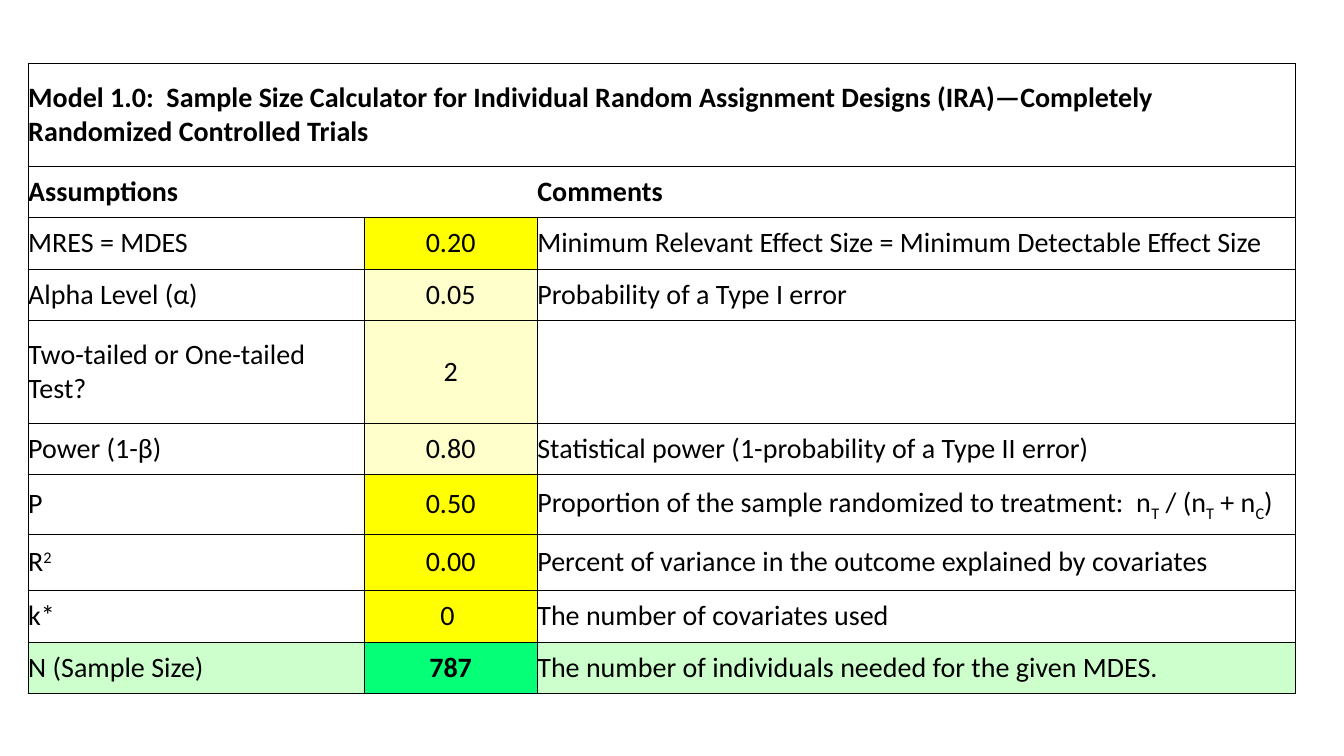
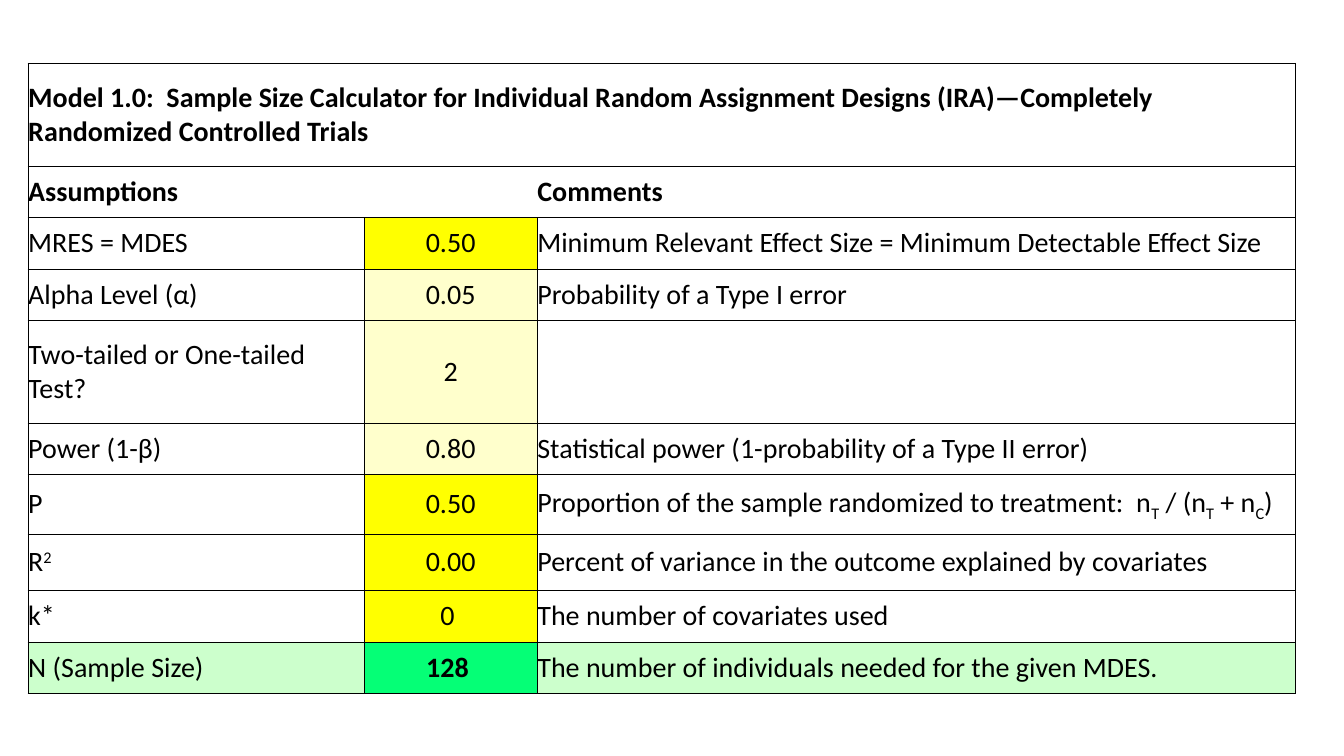
"""Build two sample size calculator slides, one per minimum detectable effect size."""
from lxml.etree import SubElement
from pptx import Presentation
from pptx.dml.color import RGBColor
from pptx.enum.text import MSO_ANCHOR, PP_ALIGN
from pptx.oxml.ns import qn
from pptx.util import Inches, Pt

COLORS = {
    "ink": "000000",
    "input": "FFFF00",
    "default": "FFFFCC",
    "summary": "CCFFCC",
    "answer": "05FF76",
}
FONT, FONT_SIZE = "Calibri", 20
THIN, THICK = 0.5, 1
SUB, SUP = -25000, 30000

TITLE = ("Model 1.0:  Sample Size Calculator for Individual Random Assignment "
         "Designs (IRA)—Completely Randomized Controlled Trials")
TREATMENT_SHARE = [
    ("Proportion of the sample randomized to treatment:  n", 0), ("T", SUB),
    (" / (n", 0), ("T", SUB), (" + n", 0), ("C", SUB), (")", 0),
]
SCENARIOS = [("0.20", "787"), ("0.50", "128 ")]

LEFT, TOP = 0.28, 0.63
COLUMN_WIDTHS = [3.33, 1.72, 7.52]
LINE_ROW = 0.51
ROW_HEIGHTS = [2 * LINE_ROW, LINE_ROW, LINE_ROW, LINE_ROW, 2 * LINE_ROW,
               LINE_ROW, 0.59, 0.56, LINE_ROW, LINE_ROW]
HEADING_ROWS = 2


def calculator_rows(effect_size, sample_size):
    """Return the texts of each row and the fill names of its cells."""
    value_only = lambda name: (None, name, None)
    no_fill = value_only(None)
    return [
        ((TITLE, "", ""), no_fill),
        (("Assumptions", "", "Comments"), no_fill),
        (("MRES = MDES", effect_size,
          "Minimum Relevant Effect Size = Minimum Detectable Effect Size"), value_only("input")),
        (("Alpha Level (α)", "0.05", "Probability of a Type I error"), value_only("default")),
        (("Two-tailed or One-tailed Test?", "2", ""), value_only("default")),
        (("Power (1-β)", "0.80",
          "Statistical power (1-probability of a Type II error)"), value_only("default")),
        (("P", "0.50", TREATMENT_SHARE), value_only("input")),
        (([("R", 0), ("2", SUP)], "0.00",
          "Percent of variance in the outcome explained by covariates"), value_only("input")),
        (("k*", "0 ", "The number of covariates used"), value_only("input")),
        (("N (Sample Size)", sample_size,
          "The number of individuals needed for the given MDES."),
         ("summary", "answer", "summary")),
    ]


def set_borders(cell, row, column):
    """Draw a thick frame around the table and thin lines inside it."""
    inner = 0 if row < HEADING_ROWS else THIN
    sides = {
        "L": THICK if column == 0 else inner,
        "R": THICK if column + cell.span_width == len(COLUMN_WIDTHS) else inner,
        "T": THICK if row == 0 else THIN,
        "B": THICK if row == len(ROW_HEIGHTS) - 1 else THIN,
    }
    properties = cell._tc.get_or_add_tcPr()
    for side, width in sides.items():
        line = SubElement(properties, qn(f"a:ln{side}"), w=str(Pt(width)))
        if width:
            paint = SubElement(line, qn("a:solidFill"))
            SubElement(paint, qn("a:srgbClr"), val=COLORS["ink"])
        else:
            SubElement(line, qn("a:noFill"))


def write_text(cell, content, bold, align):
    """Write a plain string or a list of (text, baseline) pieces into a cell."""
    cell.vertical_anchor = MSO_ANCHOR.MIDDLE
    cell.margin_left = cell.margin_right = cell.margin_top = cell.margin_bottom = 0
    paragraph = cell.text_frame.paragraphs[0]
    paragraph.alignment = align
    font = paragraph.font
    font.name, font.size, font.bold = FONT, Pt(FONT_SIZE), bold
    font.color.rgb = RGBColor.from_string(COLORS["ink"])
    pieces = [(content, 0)] if isinstance(content, str) else content
    for text, baseline in pieces:
        if text:
            run = paragraph.add_run()
            run.text = text
            if baseline:
                run._r.get_or_add_rPr().set("baseline", str(baseline))


def add_calculator(slide, rows):
    """Add the calculator table to a slide."""
    table = slide.shapes.add_table(
        len(ROW_HEIGHTS), len(COLUMN_WIDTHS), Inches(LEFT), Inches(TOP),
        Inches(sum(COLUMN_WIDTHS)), Inches(sum(ROW_HEIGHTS))).table
    table.first_row = table.horz_banding = False
    for column, width in zip(table.columns, COLUMN_WIDTHS):
        column.width = Inches(width)
    for row, height in zip(table.rows, ROW_HEIGHTS):
        row.height = Inches(height)
    table.cell(0, 0).merge(table.cell(0, len(COLUMN_WIDTHS) - 1))

    for row, (texts, fills) in enumerate(rows):
        for column, (content, fill) in enumerate(zip(texts, fills)):
            cell = table.cell(row, column)
            set_borders(cell, row, column)
            if fill:
                cell.fill.solid()
                cell.fill.fore_color.rgb = RGBColor.from_string(COLORS[fill])
            else:
                cell.fill.background()
            write_text(cell, content, row < HEADING_ROWS or fill == "answer",
                       PP_ALIGN.CENTER if column == 1 else PP_ALIGN.LEFT)


def main():
    """Build and save the presentation."""
    deck = Presentation()
    deck.slide_width, deck.slide_height = Inches(13.33), Inches(7.5)
    for effect_size, sample_size in SCENARIOS:
        slide = deck.slides.add_slide(deck.slide_layouts[6])
        add_calculator(slide, calculator_rows(effect_size, sample_size))
    deck.save("out.pptx")


if __name__ == "__main__":
    main()
